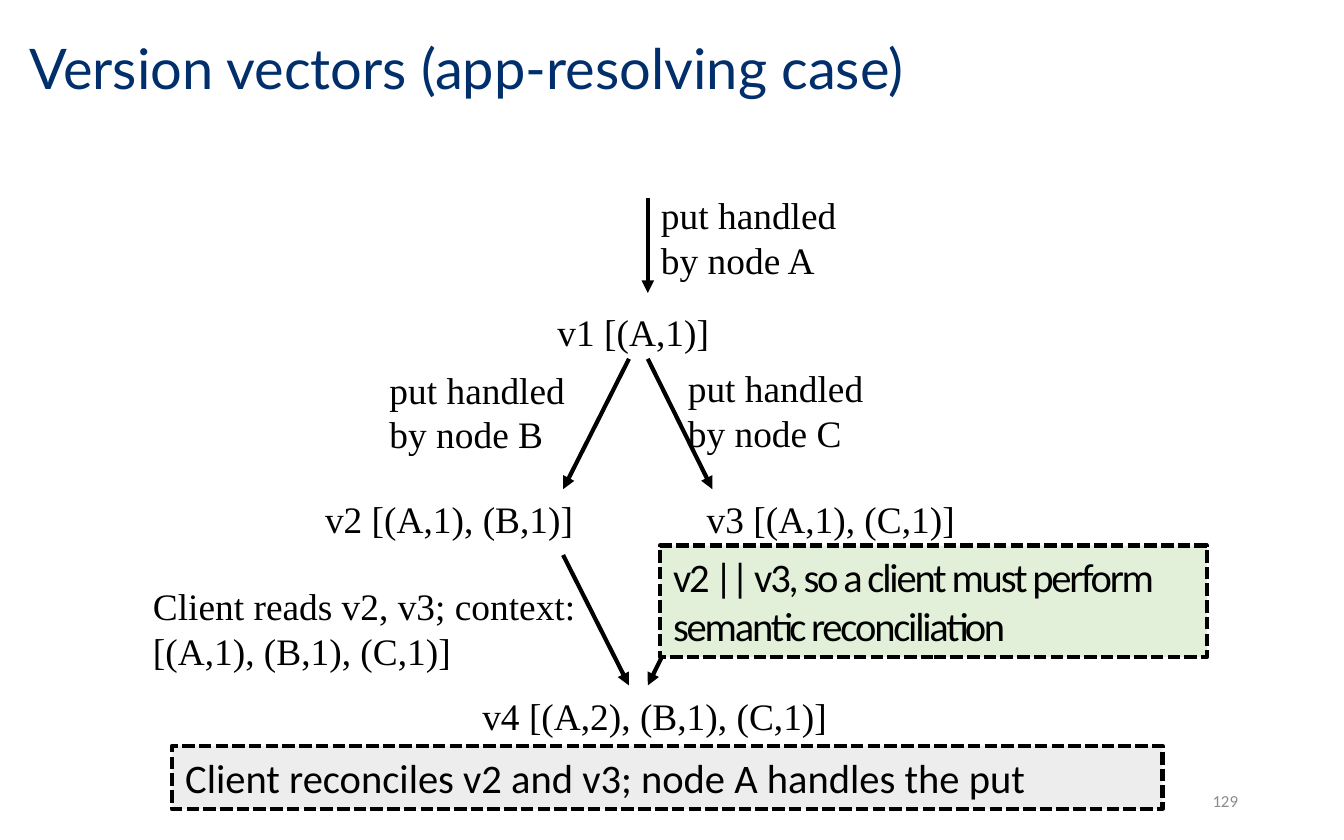
import pptx
import pptx.util
import pptx.dml.color
import pptx.enum.dml
import pptx.enum.shapes
import pptx.enum.text
import pptx.oxml.ns
import lxml.etree

PX = 9144  # EMU per px, 100 px to the inch
COLORS = {"title": "002F6C", "ink": "000000", "number": "8C8C8C",
          "conflict": "E2F0D9", "resolved": "EDEDED"}
PP_ALIGN = pptx.enum.text.PP_ALIGN
ANCHOR = pptx.enum.text.MSO_ANCHOR


def px(*values):
    return [pptx.util.Emu(v * PX) for v in values]


def rgb(name):
    return pptx.dml.color.RGBColor.from_string(COLORS[name])


def set_text(sp, text, font, size, color="ink", align=PP_ALIGN.LEFT, anchor=ANCHOR.TOP):
    tf = sp.text_frame
    tf.word_wrap = True
    tf.vertical_anchor = anchor
    tf.text = text
    p = tf.paragraphs[0]
    p.alignment = align
    r = p.runs[0]
    r.font.name = font
    r.font.size = pptx.util.Pt(size)
    r.font.color.rgb = rgb(color)
    return p


def add_label(s, box, text, font="Times New Roman", size=20, **style):
    return set_text(s.shapes.add_textbox(*px(*box)), text, font, size, **style)


def add_arrow(s, start, end):
    line = s.shapes.add_connector(pptx.enum.shapes.MSO_CONNECTOR.STRAIGHT, *px(*start, *end))
    line.line.color.rgb = rgb("ink")
    line.line.width = pptx.util.Pt(2.25)
    qn = pptx.oxml.ns.qn
    lxml.etree.SubElement(line.line._get_or_add_ln(), qn("a:tailEnd"), type="triangle")
    lxml.etree.SubElement(line._element.spPr, qn("a:effectLst"))


def add_title(s, box):
    p = add_label(s, box, "Version vectors (app-resolving case)", "Lato", 30,
                  color="title", anchor=ANCHOR.MIDDLE)
    p.line_spacing = 0.9


def add_page_number(s, box):
    add_label(s, box, "129", "Calibri", 9, color="number",
              align=PP_ALIGN.RIGHT, anchor=ANCHOR.MIDDLE)


def add_version_graph(s, left, top):
    """Draw the diamond of versions v1 to v4 with the puts that lead to them."""
    line_h, label_h = 44, 77
    labels = [
        ("v1 [(A,1)]", 301, 87, 146, line_h),
        ("v2 [(A,1), (B,1)]", 128, 226, 208, line_h),
        ("v3 [(A,1), (C,1)]", 412, 226, 208, line_h),
        ("v4 [(A,2), (B,1), (C,1)]", 245, 373, 278, line_h),
        ("put handled by node A", 378, 0, 174, label_h),
        ("put handled by node B", 176, 130, 167, label_h),
        ("put handled by node C", 398, 129, 174, label_h),
        ("Client reads v2, v3; context: [(A,1), (B,1), (C,1)]", 0, 291, 336, label_h),
    ]
    outer_l, inner_l, inner_r, outer_r = 315, 364, 378, 426
    fork, fork_end, merge, merge_end = 129, 226, 275, 372
    arrows = [
        (inner_r, 9, inner_r, 80),
        (inner_l, fork, outer_l, fork_end),
        (inner_r, fork, outer_r, fork_end),
        (outer_l, merge, inner_l, merge_end),
        (outer_r, merge, inner_r, merge_end),
    ]
    for x1, y1, x2, y2 in arrows:
        add_arrow(s, (left + x1, top + y1), (left + x2, top + y2))
    for text, x, y, w, h in labels:
        add_label(s, (left + x, top + y, w, h), text)


def add_callout(s, box, text, fill, spacing=None):
    """Add a dashed note; spacing is in hundredths of a point."""
    sp = s.shapes.add_shape(pptx.enum.shapes.MSO_SHAPE.RECTANGLE, *px(*box))
    sp.shadow.inherit = False
    sp.fill.solid()
    sp.fill.fore_color.rgb = rgb(fill)
    sp.line.color.rgb = rgb("ink")
    sp.line.width = pptx.util.Pt(2.25)
    sp.line.dash_style = pptx.enum.dml.MSO_LINE.SQUARE_DOT
    p = set_text(sp, text, "Calibri", 21.7)
    if spacing is not None:
        p.runs[0].font._element.set("spc", str(spacing))


def main():
    prs = pptx.Presentation()
    prs.slide_width, prs.slide_height = px(1000, 625)
    s = prs.slides.add_slide(prs.slide_layouts[6])
    add_page_number(s, (706, 579, 225, 33))
    add_title(s, (12, 10, 852, 86))
    add_version_graph(s, 104, 138)
    add_callout(s, (491, 406, 407, 83),
                "v2 || v3, so a client must perform semantic reconciliation",
                "conflict", spacing=-120)
    add_callout(s, (128, 555, 737, 47),
                "Client reconciles v2 and v3; node A handles the put", "resolved")
    prs.save("out.pptx")


if __name__ == "__main__":
    main()
